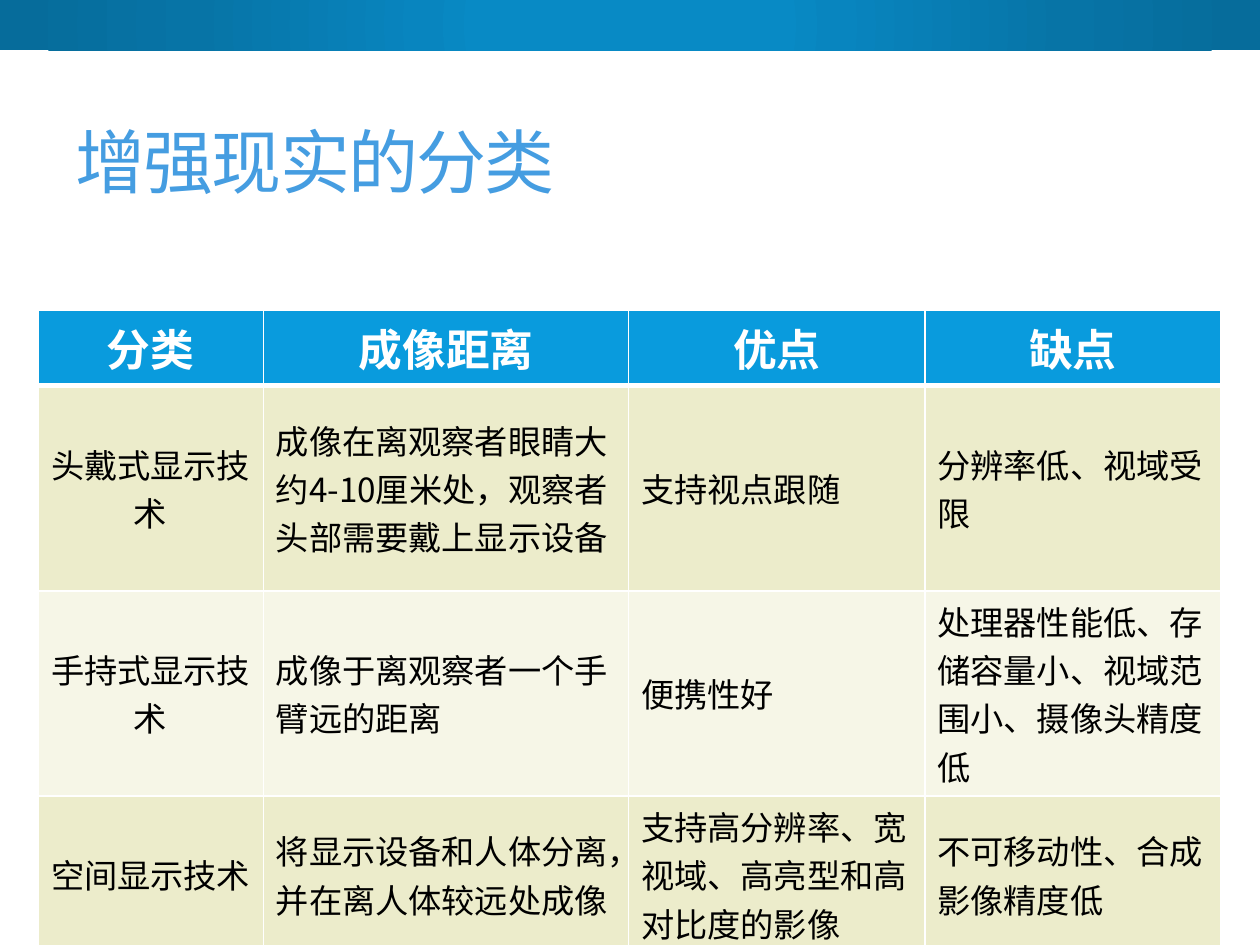
"""Build the slide on the classes of augmented reality."""
from lxml.etree import SubElement as Sub
from pptx import Presentation
from pptx.dml.color import RGBColor as RGB
from pptx.enum.shapes import MSO_SHAPE as Shape
from pptx.enum.text import MSO_ANCHOR as Anchor, MSO_AUTO_SIZE as Fit, PP_ALIGN as Align
from pptx.oxml import parse_xml
from pptx.oxml.ns import nsdecls, qn
from pptx.util import Inches, Pt

INK = {"title": "459DE1", "head": "099BDD", "odd": "ECECCB", "even": "F6F6E7",
       "white": "FFFFFF", "black": "000000"}
GLOW = {0: "088AC5", 23: "088AC5", 33: "0885BF", 69: "0774A6", 97: "066C9B"}
CJK = "Noto Sans CJK SC"


def write(frame, text, size, ink, font=CJK, bold=False, align=Align.LEFT, gap=0):
    para = frame.paragraphs[0]
    para.alignment = align
    run = para.add_run()
    run.text = text
    run.font.size = Pt(size)
    run.font.bold = bold
    run.font.color.rgb = RGB.from_string(INK[ink])
    run.font.name = font
    props = run.font._element
    Sub(props, qn("a:ea"), typeface=CJK)
    if gap:
        props.set("spc", str(gap * 100))


def edge(cell, side, width):
    line = parse_xml(
        f'<a:ln{side} {nsdecls("a")} w="{Pt(width)}"><a:solidFill>'
        f'<a:srgbClr val="{INK["white"]}"/></a:solidFill></a:ln{side}>')
    cell._tc.get_or_add_tcPr().append(line)


deck = Presentation()
deck.slide_width, deck.slide_height = Inches(10), Inches(7.5)
slide = deck.slides.add_slide(deck.slide_layouts[5])

bar = slide.shapes.add_shape(Shape.RECTANGLE, 0, 0, deck.slide_width, Inches(0.4))
bar.shadow.inherit = False
bar.line.fill.background()
bar.fill.background()
stops = "".join(f'<a:gs pos="{pos * 1000}"><a:srgbClr val="{hue}"/></a:gs>'
                for pos, hue in GLOW.items())
props = bar._element.spPr
props.replace(props.find(qn("a:noFill")), parse_xml(
    f'<a:gradFill {nsdecls("a")} rotWithShape="1"><a:gsLst>{stops}</a:gsLst>'
    '<a:path path="circle"><a:fillToRect l="50000" t="50000" r="50000" b="50000"/>'
    '</a:path></a:gradFill>'))

title = slide.shapes.title
title.left, title.top, title.width, title.height = map(Inches, (0.5, 0.58, 9, 1.08))
title.text_frame.auto_size = Fit.NONE
title.text_frame.vertical_anchor = Anchor.BOTTOM
write(title.text_frame, "增强现实的分类", 40, "title", font="Arial", gap=-1)

rows = [
    ("分类", "成像距离", "优点", "缺点"),
    ("头戴式显示技术", "成像在离观察者眼睛大约4-10厘米处，观察者头部需要戴上显示设备",
     "支持视点跟随", "分辨率低、视域受限"),
    ("手持式显示技术", "成像于离观察者一个手臂远的距离", "便携性好",
     "处理器性能低、存储容量小、视域范围小、摄像头精度低"),
    ("空间显示技术", "将显示设备和人体分离，并在离人体较远处成像",
     "支持高分辨率、宽视域、高亮型和高对比度的影像", "不可移动性、合成影像精度低"),
]
wide, tall = (1.79, 2.9, 2.35, 2.35), (0.52, 1.05, 1.36, 1.05)
grid = slide.shapes.add_table(len(tall), len(wide), Inches(0.3), Inches(2.46),
                              Inches(sum(wide)), Inches(sum(tall))).table
for col, size in zip(grid.columns, wide):
    col.width = Inches(size)
for row, size in zip(grid.rows, tall):
    row.height = Inches(size)

for r, row in enumerate(rows):
    head = r == 0
    fill = "head" if head else "odd" if r % 2 else "even"
    for c, text in enumerate(row):
        cell = grid.cell(r, c)
        cell.vertical_anchor = Anchor.MIDDLE
        for side, width in (("L", 1), ("R", 1), ("T", 3 if r == 1 else 1), ("B", 3 if head else 1)):
            edge(cell, side, width)
        cell.fill.solid()
        cell.fill.fore_color.rgb = RGB.from_string(INK[fill])
        write(cell.text_frame, text, 25 if head else 19, "white" if head else "black",
              bold=head, align=Align.CENTER if head or c == 0 else Align.LEFT)

deck.save("out.pptx")
